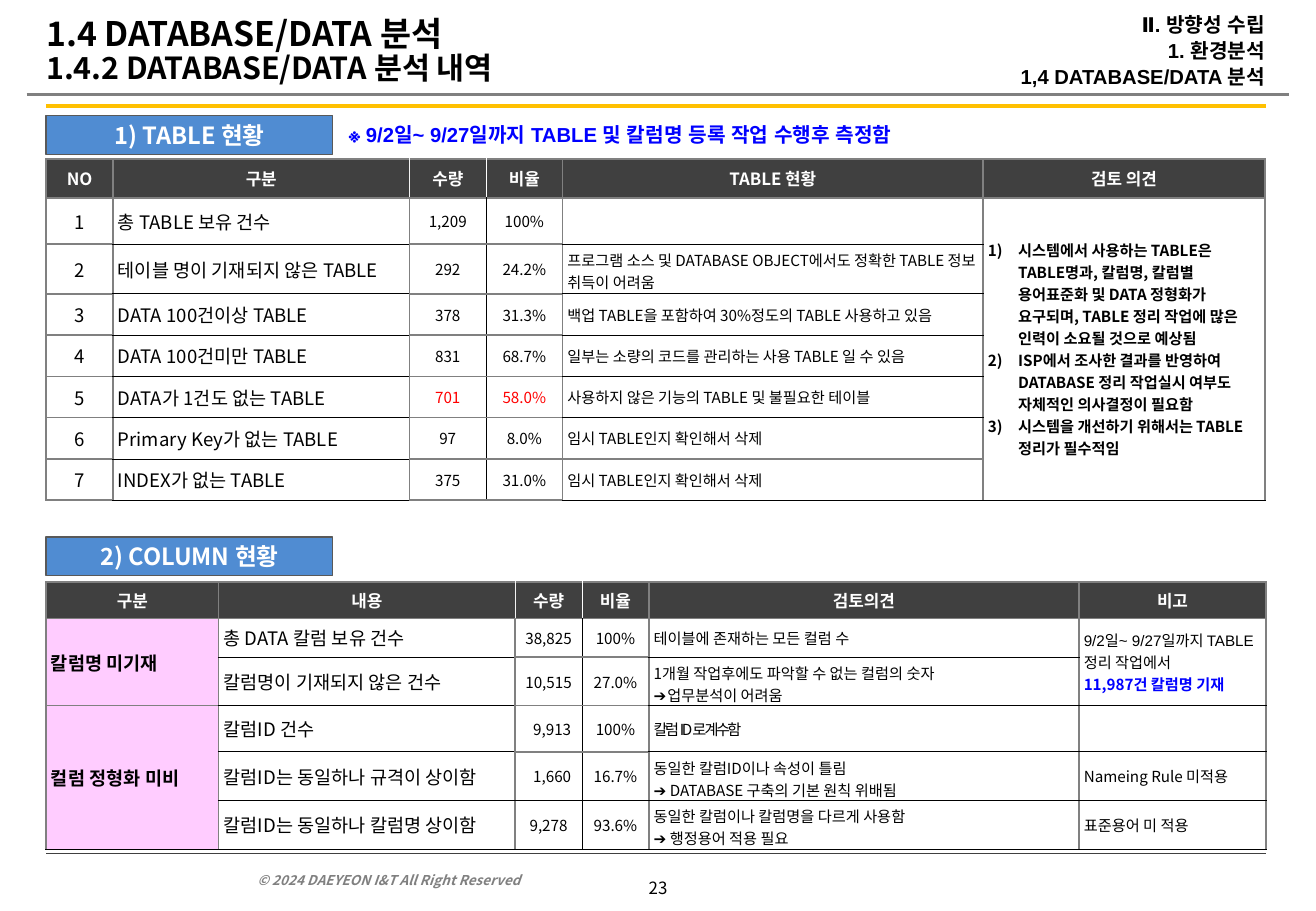
from typing import NamedTuple

from lxml import etree
from pptx import Presentation
from pptx import util as u
from pptx.dml.color import RGBColor
from pptx.enum import shapes, text
from pptx.oxml import ns

SCALE = 9144
NOTO, ARIAL = "Noto Sans CJK KR", "Arial"
LEFT, CENTER, RIGHT = text.PP_ALIGN.LEFT, text.PP_ALIGN.CENTER, text.PP_ALIGN.RIGHT
TOP, MIDDLE, BOTTOM = text.MSO_ANCHOR.TOP, text.MSO_ANCHOR.MIDDLE, text.MSO_ANCHOR.BOTTOM
COLORS = {
    "black": "000000", "white": "FFFFFF", "pale": "F2F2F2", "gray": "808080",
    "dark": "404040", "edge": "595959", "gold": "FFC000", "blue": "508CD2",
    "link": "0000FF", "red": "FF0000", "pink": "FFCCFF",
}


class Rule(NamedTuple):
    left: int
    right: int
    y: int
    color: str
    width: float


class Column(NamedTuple):
    width: int
    size: int
    align: text.PP_ALIGN = LEFT
    bold: bool = False
    numbered: bool = False
    fill: str | None = None


class Grid(NamedTuple):
    top: int
    columns: list[Column]
    heights: list[int]
    rows: list[list[str]]
    spans: dict[tuple[int, int], int]
    flipped_edges: set[tuple[int, int]]


class Label(NamedTuple):
    words: str
    place: tuple[int, int, int, int]
    style: dict
    margins: tuple[int, int] = (10, 5)
    anchor: text.MSO_ANCHOR = MIDDLE
    wrap: bool = True


RULES = [
    Rule(22, 1061, 78, "gray", 1.5),
    Rule(38, 1042, 87, "gold", 2.5),
    Rule(38, 1042, 703, "dark", 0.5),
]
LABELS = [
    Label("© 2024 DAEYEON I&T All Right Reserved", (202, 709, 302, 27),
          dict(size=8, color="gray", bold=True, italic=True), anchor=BOTTOM),
    Label("23", (524, 718, 35, 27), dict(size=10, align=CENTER), (6, 5), TOP, False),
    Label("Ⅱ. 방향성 수립\n1. 환경분석\n1,4 DATABASE/DATA 분석", (687, 0, 354, 86),
          dict(size=12, font=ARIAL, bold=True, align=RIGHT, leading=0.9, before=2.5), (0, 5)),
    Label("1.4 DATABASE/DATA 분석\n1.4.2 DATABASE/DATA 분석 내역", (38, 0, 520, 85),
          dict(size=18, bold=True, leading=0.9), (0, 0)),
    Label("※ 9/2일~ 9/27일까지 TABLE 및 칼럼명 등록 작업 수행후 측정함", (277, 96, 515, 30),
          dict(size=12, font=ARIAL, color="link", bold=True), anchor=TOP, wrap=False),
]
HEADINGS = {"1) TABLE 현황": 95, "2) COLUMN 현황": 442}
INDENTS = {"9,913": 6, "1,660": 6}
SPECIAL = {
    "1.4 DATABASE/DATA 분석": dict(size=20),
    "701": dict(color="red"),
    "58.0%": dict(color="red"),
    "➔ ": dict(spacing=-150),
    "칼럼 ID로 계수함": dict(spacing=-150),
    "9/2일~ 9/27일까지 TABLE 정리 작업에서": dict(font=ARIAL, east=NOTO),
    "11,987건 칼럼명 기재": dict(color="link", bold=True),
}
GRIDS = [
    Grid(131, [Column(55, 11, CENTER), Column(244, 11), Column(63, 9, CENTER),
               Column(63, 9, CENTER), Column(346, 9), Column(232, 9, bold=True, numbered=True)],
         [32, 34, 41, 34, 34, 34, 34, 34],
         [["NO", "구분", "수량", "비율", "TABLE 현황", "검토 의견"],
          ["1", "총 TABLE 보유 건수", "1,209", "100%", "",
           "시스템에서 사용하는 TABLE은 TABLE명과, 칼럼명, 칼럼별 용어표준화 및 DATA 정형화가 "
           "요구되며, TABLE 정리 작업에 많은 인력이 소요될 것으로 예상됨\n"
           "ISP에서 조사한 결과를 반영하여 DATABASE 정리 작업실시 여부도 자체적인 의사결정이 필요함\n"
           "시스템을 개선하기 위해서는 TABLE 정리가 필수적임"],
          ["2", "테이블 명이 기재되지 않은 TABLE", "292", "24.2%",
           "프로그램 소스 및 DATABASE OBJECT에서도 정확한 TABLE 정보 취득이 어려움", ""],
          ["3", "DATA 100건이상 TABLE", "378", "31.3%",
           "백업 TABLE을 포함하여 30%정도의 TABLE 사용하고 있음", ""],
          ["4", "DATA 100건미만 TABLE", "831", "68.7%",
           "일부는 소량의 코드를 관리하는 사용 TABLE 일 수 있음", ""],
          ["5", "DATA가 1건도 없는 TABLE", "701", "58.0%",
           "사용하지 않은 기능의 TABLE 및 불필요한 테이블", ""],
          ["6", "Primary Key가 없는 TABLE", "97", "8.0%", "임시 TABLE인지 확인해서 삭제", ""],
          ["7", "INDEX가 없는 TABLE", "375", "31.0%", "임시 TABLE인지 확인해서 삭제", ""]],
         {(1, 5): 7}, {(7, 4)}),
    Grid(479, [Column(142, 11, bold=True, fill="pink"), Column(244, 11), Column(55, 9, CENTER),
               Column(55, 9, CENTER), Column(354, 9), Column(154, 9)],
         [30, 32, 40, 32, 40, 40],
         [["구분", "내용", "수량", "비율", "검토의견", "비고"],
          ["칼럼명 미기재", "총 DATA 칼럼 보유 건수", "38,825", "100%", "테이블에 존재하는 모든 컬럼 수",
           "9/2일~ 9/27일까지 TABLE 정리 작업에서\n11,987건 칼럼명 기재"],
          ["", "칼럼명이 기재되지 않은 건수", "10,515", "27.0%",
           "1개월 작업후에도 파악할 수 없는 컬럼의 숫자\n➔ |업무분석이 어려움", ""],
          ["컬럼 정형화 미비", "칼럼ID 건수", "9,913", "100%", "칼럼 ID로 계수함", ""],
          ["", "칼럼ID는 동일하나 규격이 상이함", "1,660", "16.7%",
           "동일한 칼럼ID이나 속성이 틀림\n➔ DATABASE 구축의 기본 원칙 위배됨", "Nameing Rule 미적용"],
          ["", "칼럼ID는 동일하나 칼럼명 상이함", "9,278", "93.6%",
           "동일한 칼럼이나 칼럼명을 다르게 사용함\n➔ 행정용어 적용 필요", "표준용어 미 적용"]],
         {(1, 0): 2, (1, 5): 2, (3, 0): 3}, {(5, 2), (5, 3), (6, 0), (6, 2), (6, 3)}),
]


def px(length: int) -> int:
    return u.Emu(length * SCALE)


def rgb(name: str) -> RGBColor:
    return RGBColor.from_string(COLORS[name])


def write_span(para, words: str, size: int, font: str = NOTO, east: str = "", color: str = "black",
               bold: bool = False, italic: bool = False, spacing: int = 0) -> None:
    span = para.add_run()
    span.text = words
    span.font.size, span.font.name = u.Pt(size), font
    span.font.bold, span.font.italic = bold, italic
    span.font.color.rgb = rgb(color)
    props = span._r.get_or_add_rPr()
    etree.SubElement(props, ns.qn("a:ea"), typeface=east or font)
    if spacing:
        props.set("spc", str(spacing))


def write(frame, words: str, align=LEFT, leading: float = 1, before: float = 0,
          numbered: bool = False, **style) -> None:
    for index, line in enumerate(words.split("\n")):
        para = frame.add_paragraph() if index else frame.paragraphs[0]
        indent = px(25 if numbered else INDENTS.get(line, 0))
        props = para._p.get_or_add_pPr()
        if indent:
            props.set("marL", str(indent))
        if numbered:
            props.set("indent", str(-indent))
            etree.SubElement(props, ns.qn("a:buAutoNum"), type="arabicParenR")
        para.alignment, para.line_spacing = align, leading
        if index and before:
            para.space_before = u.Pt(before)
        for part in line.split("|"):
            write_span(para, part, **{**style, **SPECIAL.get(part, {})})


def set_frame(frame, margins: tuple[int, int], anchor, wrap: bool = True) -> None:
    frame.margin_left = frame.margin_right = px(margins[0])
    frame.margin_top = frame.margin_bottom = px(margins[1])
    frame.vertical_anchor, frame.word_wrap = anchor, wrap


def draw_rule(page, rule: Rule) -> None:
    line = page.shapes.add_connector(shapes.MSO_CONNECTOR.STRAIGHT, px(rule.left), px(rule.y),
                                     px(rule.right), px(rule.y))
    line.line.color.rgb, line.line.width = rgb(rule.color), u.Pt(rule.width)
    etree.SubElement(line._element.spPr, ns.qn("a:effectLst"))


def draw_label(page, label: Label) -> None:
    box = page.shapes.add_textbox(*map(px, label.place))
    set_frame(box.text_frame, label.margins, label.anchor, label.wrap)
    write(box.text_frame, label.words, **label.style)


def draw_heading(page, words: str, top: int) -> None:
    box = page.shapes.add_shape(shapes.MSO_SHAPE.RECTANGLE, *map(px, (38, top, 236, 32)))
    box.shadow.inherit = False
    box.fill.solid()
    box.fill.fore_color.rgb = rgb("blue")
    box.line.color.rgb, box.line.width = rgb("edge"), u.Pt(0.75)
    set_frame(box.text_frame, (8, 4), MIDDLE)
    write(box.text_frame, words, size=14, color="white", bold=True, align=CENTER)


def side_color(row: int, edge: int) -> str:
    return ({3: "black"} if row else {2: "pale", 3: "white"}).get(edge, "gray")


def level_color(grid: Grid, edge: int, col: int) -> str:
    thin = edge > 1 and col in (1, 4, 5)
    return "black" if thin != ((edge, col) in grid.flipped_edges) else "gray"


def set_borders(cell, grid: Grid, row: int, col: int) -> None:
    last = row + grid.spans.get((row, col), 1)
    sides = {"L": side_color(row, col), "R": side_color(row, col + 1),
             "T": level_color(grid, row, col), "B": level_color(grid, last, col)}
    props = cell._tc.get_or_add_tcPr()
    for index, (side, color) in enumerate(sides.items()):
        line = etree.Element(ns.qn(f"a:ln{side}"), w=str(u.Pt(1 if color == "gray" else 0.5)))
        fill = etree.SubElement(line, ns.qn("a:solidFill"))
        etree.SubElement(fill, ns.qn("a:srgbClr"), val=COLORS[color])
        props.insert(index, line)


def draw_grid(page, grid: Grid) -> None:
    widths = [column.width for column in grid.columns]
    table = page.shapes.add_table(len(grid.rows), len(widths), px(38), px(grid.top),
                                  px(sum(widths)), px(sum(grid.heights))).table
    table.first_row = table.horz_banding = False
    for (row, col), count in grid.spans.items():
        table.cell(row, col).merge(table.cell(row + count - 1, col))
    for col, column in enumerate(grid.columns):
        table.columns[col].width = px(column.width)
        for row, height in enumerate(grid.heights):
            table.rows[row].height = px(height)
            cell = table.cell(row, col)
            cell.margin_left = cell.margin_right = cell.margin_top = cell.margin_bottom = px(4)
            cell.vertical_anchor = MIDDLE
            fill = column.fill if row else "dark"
            if fill:
                cell.fill.solid()
                cell.fill.fore_color.rgb = rgb(fill)
            else:
                cell.fill.background()
            set_borders(cell, grid, row, col)
            style = dict(size=column.size, align=column.align, bold=column.bold,
                         numbered=column.numbered and bool(grid.rows[row][col]))
            header = dict(size=10, align=CENTER, bold=True, color="white")
            write(cell.text_frame, grid.rows[row][col], **(style if row else header))


def main() -> None:
    deck = Presentation()
    deck.slide_width, deck.slide_height = px(1083), px(750)
    page = deck.slides.add_slide(deck.slide_layouts[6])
    for rule in RULES:
        draw_rule(page, rule)
    for label in LABELS:
        draw_label(page, label)
    for grid, (words, top) in zip(GRIDS, HEADINGS.items()):
        draw_grid(page, grid)
        draw_heading(page, words, top)
    deck.save("out.pptx")


if __name__ == "__main__":
    main()
